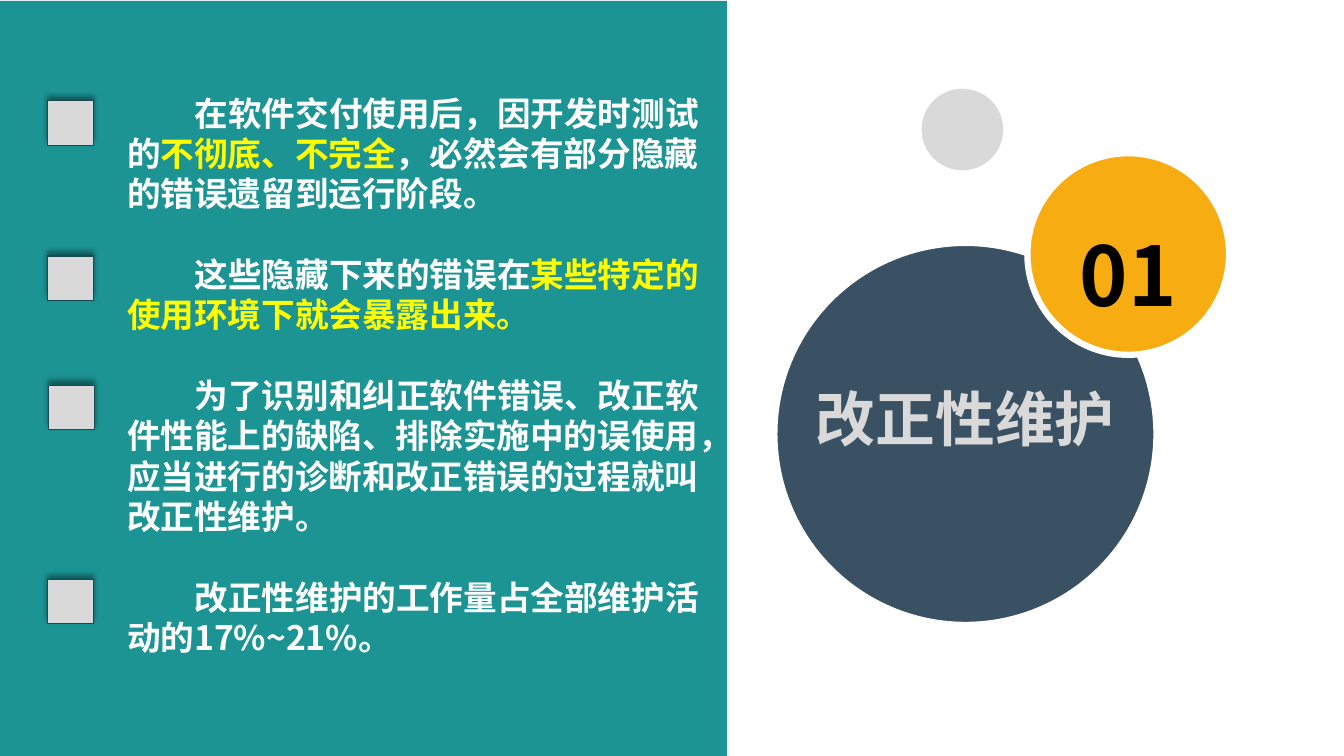
import dataclasses

import lxml.etree
import pptx
import pptx.dml.color
import pptx.enum.shapes
import pptx.enum.text
import pptx.oxml
import pptx.oxml.ns
import pptx.util

Inches = pptx.util.Inches
Pt = pptx.util.Pt
Shapes = pptx.enum.shapes.MSO_SHAPE
Align = pptx.enum.text.PP_ALIGN
Anchor = pptx.enum.text.MSO_ANCHOR


@dataclasses.dataclass(frozen=True)
class Theme:
    """Colours, type sizes and font of the slide."""
    teal: str = "1C9494"
    navy: str = "3A5063"
    amber: str = "F7AC12"
    grey: str = "D9D9D9"
    white: str = "FFFFFF"
    black: str = "000000"
    yellow: str = "FFFF00"
    edge: str = "1B4952"
    font: str = "Noto Sans CJK SC"
    body: float = 24
    title: float = 42.7
    number: float = 58.7
    leading: float = 1.2


THEME = Theme()
WIDTH, HEIGHT = 13.33, 7.5
PANEL_WIDTH = 7.21
MARKER_SIZE = (0.46, 0.44)
MARKERS = [(0.47, 1), (0.47, 2.54), (0.48, 3.82), (0.47, 5.75)]
POINTS = [
    [("在软件交付使用后，因开发时测试的", THEME.white),
     ("不彻底、不完全", THEME.yellow),
     ("，必然会有部分隐藏的错误遗留到运行阶段。", THEME.white)],
    [("这些隐藏下来的错误在", THEME.white),
     ("某些特定的使用环境下就会暴露出来。", THEME.yellow)],
    [("为了识别和纠正软件错误、改正软件性能上的缺陷、排除实施中的误使用，"
      "应当进行的诊断和改正错误的过程就叫改正性维护。", THEME.white)],
    [("改正性维护的工作量占全部维护活动的17%~21%。", THEME.white)],
]


def rgb(value):
    """Turn a hex string into a colour."""
    return pptx.dml.color.RGBColor.from_string(value)


def add_figure(page, kind, box, fill, line=None, line_width=0):
    """Draw a filled preset shape in a box of left, top, width, height."""
    figure = page.shapes.add_shape(kind, *map(Inches, box))
    figure.shadow.inherit = False
    figure.fill.solid()
    figure.fill.fore_color.rgb = rgb(fill)
    if line:
        figure.line.color.rgb = rgb(line)
        figure.line.width = Pt(line_width)
    else:
        figure.line.fill.background()
    return figure


def add_text(page, box, paragraphs, size, align=Align.LEFT, anchor=Anchor.TOP,
             insets=(0, 0), leading=THEME.leading, indent=0, gap=0):
    """Write paragraphs of (text, colour) spans in a box."""
    frame = page.shapes.add_textbox(*map(Inches, box)).text_frame
    frame.word_wrap = True
    frame.vertical_anchor = anchor
    frame.margin_left = frame.margin_right = Inches(insets[0])
    frame.margin_top = frame.margin_bottom = Inches(insets[1])
    for index, spans in enumerate(paragraphs):
        para = frame.add_paragraph() if index else frame.paragraphs[0]
        para.alignment = align
        para.line_spacing = Pt(round(size * leading, 1))
        para.space_before = Pt(gap if index else 0)
        if indent:
            para._p.get_or_add_pPr().set("indent", str(Inches(indent)))
        for text, colour in spans:
            span = para.add_run()
            span.text = text
            span.font.size = Pt(size)
            span.font.bold = True
            span.font.color.rgb = rgb(colour)
            span.font.name = THEME.font
            east_asian = lxml.etree.SubElement(
                span._r.get_or_add_rPr(), pptx.oxml.ns.qn("a:ea"))
            east_asian.set("typeface", THEME.font)


def add_marker(page, left, top):
    """Draw a grey square bullet with a shadow cast upwards."""
    marker = add_figure(page, Shapes.RECTANGLE, (left, top, *MARKER_SIZE),
                        THEME.grey, THEME.edge, 0.75)
    effects = marker._element.spPr.find(pptx.oxml.ns.qn("a:effectLst"))
    effects.append(pptx.oxml.parse_xml(
        f'<a:outerShdw {pptx.oxml.ns.nsdecls("a")} blurRad="{Pt(4)}" '
        f'dist="{Pt(3)}" dir="16200000" algn="b" rotWithShape="0">'
        f'<a:srgbClr val="{THEME.black}"><a:alpha val="40000"/></a:srgbClr>'
        '</a:outerShdw>'))


def add_points_panel(page, left, top, width, height):
    """Build the teal panel with its marked points."""
    add_figure(page, Shapes.RECTANGLE, (left, top, width, height), THEME.teal)
    add_text(page, (left + 1.19, top + 0.86, width - 1.2, 5.76), POINTS,
             THEME.body, insets=(0.07, 0.05), indent=0.67,
             gap=THEME.body * THEME.leading)
    for marker_left, marker_top in MARKERS:
        add_marker(page, left + marker_left, marker_top)


def add_title_circles(page, left, top):
    """Build the three circles with the title and its number."""
    def place(x, y, width, height):
        return left + x, top + y, width, height

    add_figure(page, Shapes.OVAL, place(1.93, 0.88, 0.81, 0.81), THEME.grey)
    add_figure(page, Shapes.OVAL, place(0.47, 2.41, 3.79, 3.79),
               THEME.navy, THEME.white, 4.5)
    add_text(page, place(0.47, 3.72, 3.79, 0.85),
             [[("改正性维护", THEME.grey)]], THEME.title,
             align=Align.CENTER, insets=(0.07, 0.07))
    add_figure(page, Shapes.OVAL, place(2.98, 1.52, 2, 2),
               THEME.amber, THEME.white, 4.5)
    add_text(page, place(3.45, 1.83, 1.06, 1.38),
             [[("01", THEME.black)]], THEME.number, align=Align.CENTER,
             anchor=Anchor.MIDDLE, leading=THEME.leading * 1.4)


def main():
    """Build the slide and save it."""
    deck = pptx.Presentation()
    deck.slide_width, deck.slide_height = Inches(WIDTH), Inches(HEIGHT)
    page = deck.slides.add_slide(deck.slide_layouts[6])
    add_points_panel(page, 0, 0.01, PANEL_WIDTH, HEIGHT)
    add_title_circles(page, PANEL_WIDTH, 0)
    deck.save("out.pptx")


if __name__ == "__main__":
    main()
